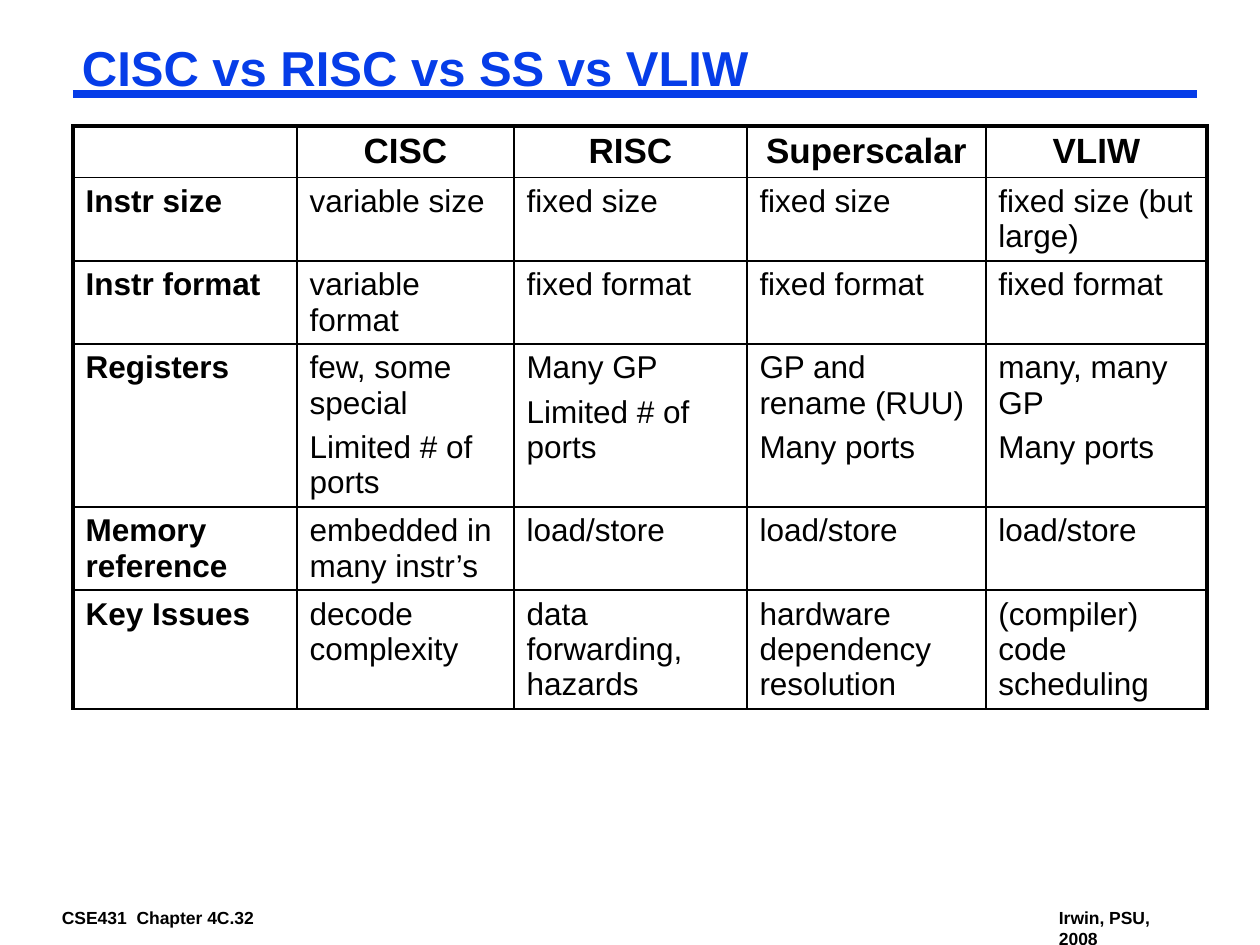
from lxml import etree
from pptx import Presentation, util as u
from pptx.dml.color import RGBColor
from pptx.enum import shapes, text
from pptx.oxml import ns

PX = 914400 // 126
BLACK = "000000"
BLUE = "063DE8"


def color(value):
    return RGBColor.from_string(value)


def write(frame, content, size=18, bold=False, fill=BLACK, align=text.PP_ALIGN.LEFT, gap=5.2):
    for i, line in enumerate(content.split("\n")):
        paragraph = frame.add_paragraph() if i else frame.paragraphs[0]
        paragraph.alignment = align
        paragraph.space_before = u.Pt(gap if i else 0)
        run = paragraph.add_run()
        run.text = line
        run.font.name = "Arial"
        run.font.size = u.Pt(size)
        run.font.bold = bold
        run.font.color.rgb = color(fill)


deck = Presentation()
deck.slide_width, deck.slide_height = 1260 * PX, 945 * PX
slide = deck.slides.add_slide(deck.slide_layouts[5])

title = slide.shapes.title
title.left, title.top, title.width, title.height = 73 * PX, 42 * PX, 1124 * PX, 58 * PX
write(title.text_frame, "CISC vs RISC vs SS vs VLIW", size=28, bold=True, fill=BLUE)
title.text_frame.paragraphs[0].line_spacing = 0.87
frames = [title.text_frame]

for left, width, wrap, content in [
    (53, 213, False, "CSE431\u00a0 Chapter 4C.32"),
    (1050, 151, True, "Irwin, PSU, 2008"),
]:
    footer = slide.shapes.add_textbox(left * PX, 903 * PX, width * PX, 28 * PX).text_frame
    write(footer, content, size=10, bold=True)
    footer.word_wrap = wrap
    frames.append(footer)

for frame in frames:
    frame.auto_size = text.MSO_AUTO_SIZE.NONE
    frame.vertical_anchor = text.MSO_ANCHOR.TOP
    frame.margin_left = frame.margin_right = 9 * PX
    frame.margin_top = frame.margin_bottom = 4 * PX

rule = slide.shapes.add_connector(shapes.MSO_CONNECTOR.STRAIGHT, 73 * PX, 94 * PX, 1197 * PX, 94 * PX)
rule.line.color.rgb = color(BLUE)
rule.line.width = u.Pt(4.5)
etree.SubElement(rule._element.spPr, ns.qn("a:effectLst"))

comparison = [
    ["", "CISC", "RISC", "Superscalar", "VLIW"],
    ["Instr size", "variable size", "fixed size", "fixed size", "fixed size (but large)"],
    ["Instr format", "variable format", "fixed format", "fixed format", "fixed format"],
    ["Registers", "few, some special\nLimited # of ports", "Many GP\nLimited # of ports",
     "GP and rename (RUU)\nMany ports", "many, many GP\nMany ports"],
    ["Memory reference", "embedded in many instr’s", "load/store", "load/store", "load/store"],
    ["Key Issues", "decode complexity", "data forwarding, hazards",
     "hardware dependency resolution", "(compiler) code scheduling"],
]
widths = [224, 217, 233, 239, 221]
heights = [51, 83, 83, 163, 83, 119]
table = slide.shapes.add_table(
    len(heights), len(widths), 73 * PX, 126 * PX, sum(widths) * PX, sum(heights) * PX).table
table.first_row = table.horz_banding = False
for column, width in zip(table.columns, widths):
    column.width = width * PX
for row, height in zip(table.rows, heights):
    row.height = height * PX

for r, entries in enumerate(comparison):
    for c, entry in enumerate(entries):
        cell = table.cell(r, c)
        header = r == 0
        if entry:
            write(cell.text_frame, entry, size=20 if header else 18, bold=header or c == 0,
                  align=text.PP_ALIGN.CENTER if header else text.PP_ALIGN.LEFT)
        properties = cell._tc.get_or_add_tcPr()
        outer = {"L": c == 0, "R": c == len(widths) - 1, "T": header, "B": False}
        for side, thick in outer.items():
            border = etree.SubElement(
                properties, ns.qn("a:ln" + side), w=str(u.Pt(2.25 if thick else 1)))
            ink = etree.SubElement(border, ns.qn("a:solidFill"))
            etree.SubElement(ink, ns.qn("a:srgbClr"), val=BLACK)
        cell.fill.background()

deck.save("out.pptx")
